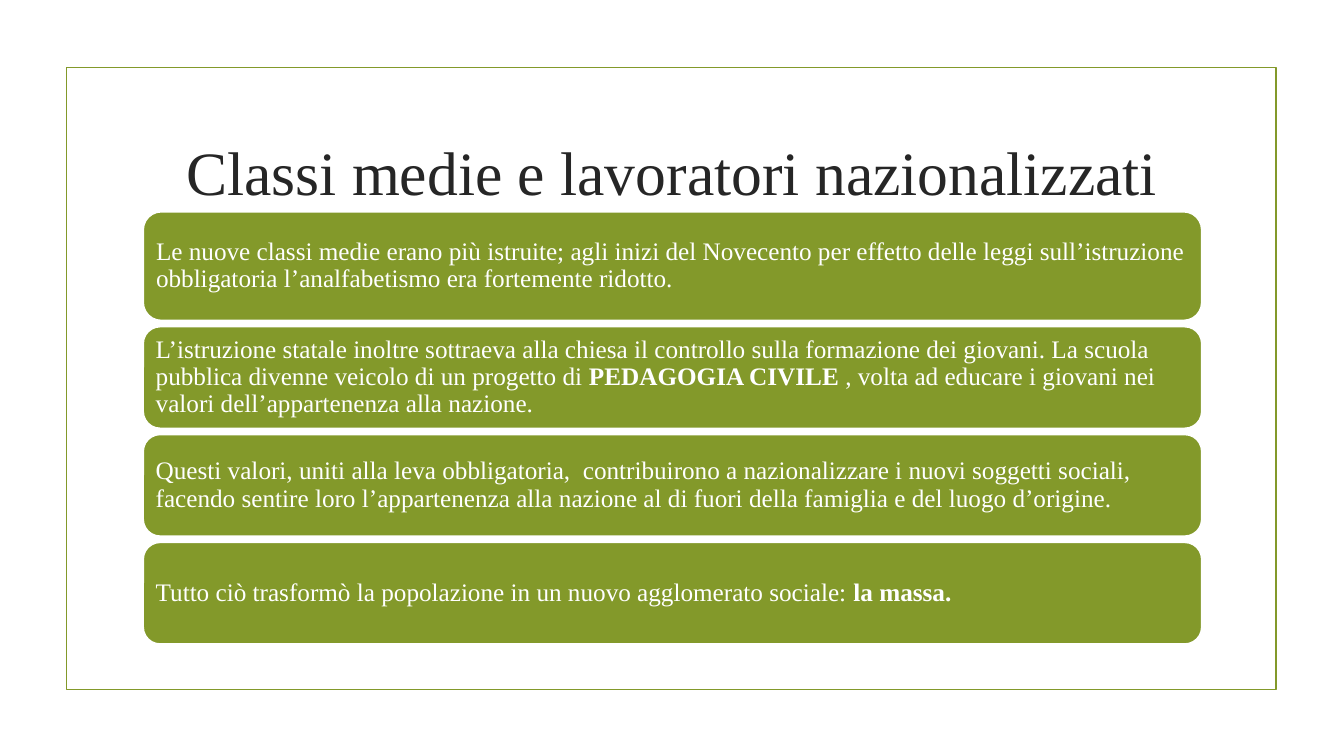
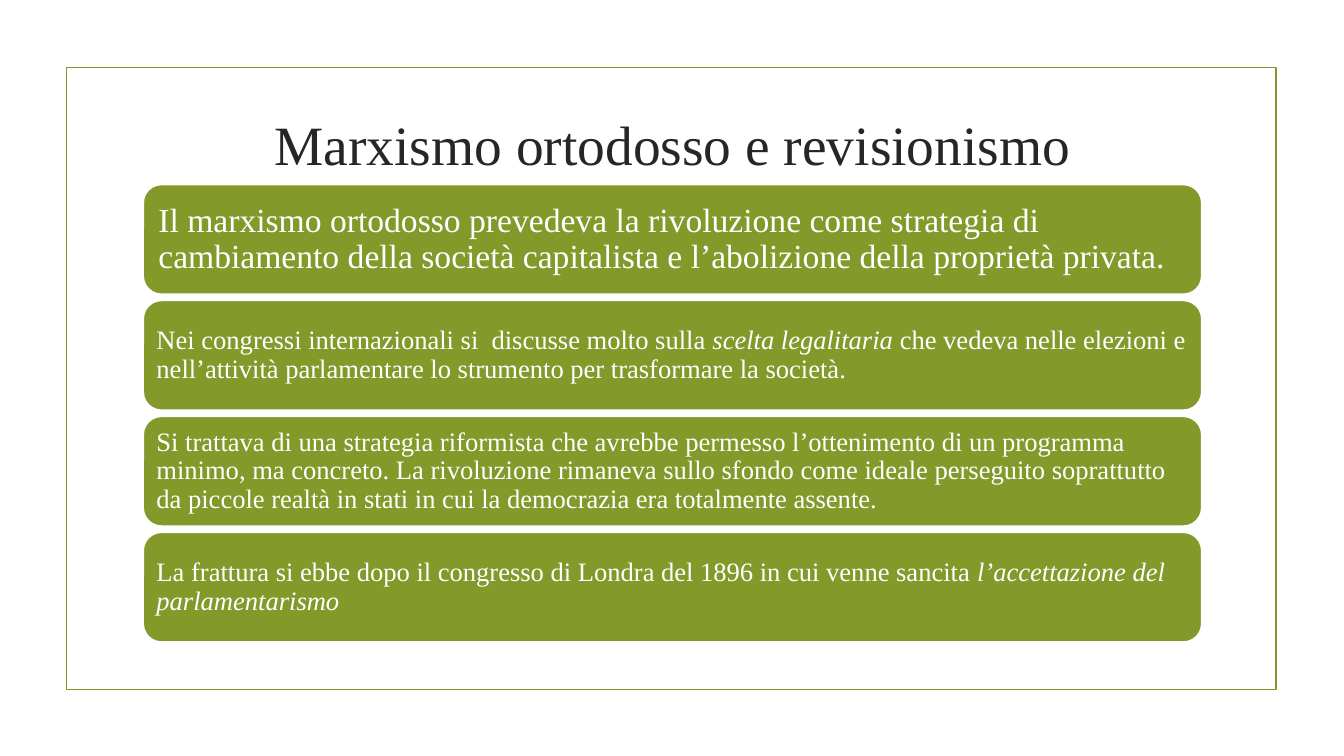
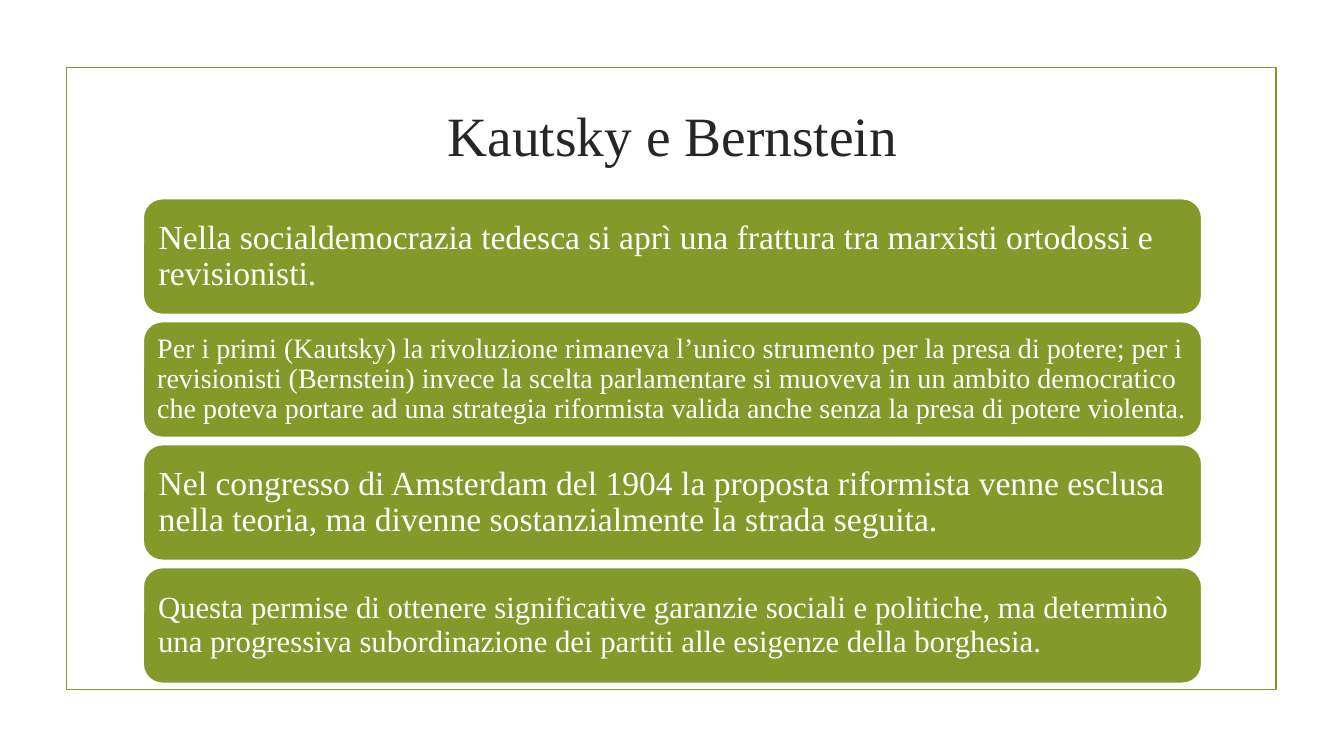
from pptx import Presentation
from pptx.dml.color import RGBColor
from pptx.enum.shapes import MSO_SHAPE
from pptx.enum.text import MSO_ANCHOR, MSO_AUTO_SIZE, PP_ALIGN
from pptx.util import Inches, Pt

OLIVE = RGBColor(0x83, 0x99, 0x2A)
WHITE = RGBColor(0xFF, 0xFF, 0xFF)
CHARCOAL = RGBColor(0x26, 0x26, 0x26)
FONT = "Times New Roman"
LINE_WIDTH = Pt(1.25)
CONTENT_LEFT, CONTENT_WIDTH = 1.42, 10.5
TITLE_TOP = 1.07
TITLE_ONLY = 5
PLAIN, BOLD, ITALIC = "plain", "bold", "italic"


def style_font(font, size, color):
    font.name = FONT
    font.size = Pt(size)
    font.color.rgb = color


def add_frame(prs, layout):
    """Give the layout the olive frame that every slide shows."""
    slide = prs.slides[0]
    frame = slide.shapes.add_shape(
        MSO_SHAPE.RECTANGLE, Inches(0.66), Inches(0.67), Inches(12), Inches(6.17))
    frame.shadow.inherit = False
    frame.fill.background()
    frame.line.color.rgb = OLIVE
    frame.line.width = LINE_WIDTH
    layout.shapes.element.insert(2, frame.element)


def set_title(slide, text, size, height):
    title = slide.shapes.title
    title.left, title.top = Inches(CONTENT_LEFT), Inches(TITLE_TOP)
    title.width, title.height = Inches(CONTENT_WIDTH), Inches(height)
    frame = title.text_frame
    frame.text = text
    frame.word_wrap = True
    frame.auto_size = MSO_AUTO_SIZE.NONE
    frame.vertical_anchor = MSO_ANCHOR.MIDDLE
    heading = frame.paragraphs[0]
    heading.alignment = PP_ALIGN.CENTER
    style_font(heading.runs[0].font, size, CHARCOAL)


def add_statement(slide, top, height, size, parts):
    """Add a rounded box; parts are (text, emphasis) pairs."""
    box = slide.shapes.add_shape(
        MSO_SHAPE.ROUNDED_RECTANGLE, Inches(CONTENT_LEFT), Inches(top),
        Inches(CONTENT_WIDTH), Inches(height))
    box.shadow.inherit = False
    box.fill.solid()
    box.fill.fore_color.rgb = OLIVE
    box.line.color.rgb = WHITE
    box.line.width = LINE_WIDTH
    frame = box.text_frame
    frame.word_wrap = True
    frame.vertical_anchor = MSO_ANCHOR.MIDDLE
    inset = Inches(size / 240)
    frame.margin_left = frame.margin_right = inset
    frame.margin_top = frame.margin_bottom = inset
    paragraph = frame.paragraphs[0]
    paragraph.alignment = PP_ALIGN.LEFT
    paragraph.line_spacing = 0.9
    for text, emphasis in parts:
        run = paragraph.add_run()
        run.text = text
        style_font(run.font, size, WHITE)
        run.font.bold = emphasis == BOLD
        run.font.italic = emphasis == ITALIC


def add_statements(slide, top, gap, statements):
    """Stack the (height, size, parts) boxes downwards from top."""
    for height, size, parts in statements:
        add_statement(slide, top, height, size, parts)
        top += height + gap


SLIDES = [
    {
        "title": ("Classi medie e lavoratori nazionalizzati", 44, 1.25),
        "top": 2.1, "gap": 0.06,
        "statements": [
            (1.08, 18, [
                ("Le nuove classi medie erano più istruite; agli inizi del Novecento "
                 "per effetto delle leggi sull’istruzione obbligatoria "
                 "l’analfabetismo era fortemente ridotto.", PLAIN)]),
            (1.01, 18, [
                ("L’istruzione statale inoltre sottraeva alla chiesa il controllo "
                 "sulla formazione dei giovani. La scuola pubblica divenne veicolo "
                 "di un progetto di ", PLAIN),
                ("PEDAGOGIA CIVILE ", BOLD),
                (", volta ad educare i giovani nei valori dell’appartenenza "
                 "alla nazione.", PLAIN)]),
            (1.01, 18, [
                ("Questi valori, uniti alla leva obbligatoria,  contribuirono a "
                 "nazionalizzare i nuovi soggetti sociali, facendo sentire loro "
                 "l’appartenenza alla nazione al di fuori della famiglia e del "
                 "luogo d’origine.", PLAIN)]),
            (1.01, 18, [
                ("Tutto ciò trasformò la popolazione in un nuovo agglomerato "
                 "sociale: ", PLAIN),
                ("la massa.", BOLD)]),
        ],
    },
    {
        "title": ("Marxismo ortodosso e revisionismo", 39.6, 0.71),
        "top": 1.83, "gap": 0.06,
        "statements": [
            (1.09, 24, [
                ("Il marxismo ortodosso prevedeva la rivoluzione come strategia di "
                 "cambiamento della società capitalista e l’abolizione della "
                 "proprietà privata.", PLAIN)]),
            (1.09, 19, [
                ("Nei congressi internazionali si  discusse molto sulla ", PLAIN),
                ("scelta legalitaria ", ITALIC),
                ("che vedeva nelle elezioni e nell’attività parlamentare lo "
                 "strumento per trasformare la società.", PLAIN)]),
            (1.09, 19, [
                ("Si trattava di una strategia riformista che avrebbe permesso "
                 "l’ottenimento di un programma minimo, ma concreto. La rivoluzione "
                 "rimaneva sullo sfondo come ideale perseguito soprattutto da "
                 "piccole realtà in stati in cui la democrazia era totalmente "
                 "assente.", PLAIN)]),
            (1.09, 19, [
                ("La frattura si ebbe dopo il congresso di Londra del 1896 in cui "
                 "venne sancita ", PLAIN),
                ("l’accettazione del parlamentarismo", ITALIC)]),
        ],
    },
    {
        "title": ("Kautsky e Bernstein", 39.6, 0.53),
        "top": 1.97, "gap": 0.07,
        "statements": [
            (1.15, 24, [
                ("Nella socialdemocrazia tedesca si aprì una frattura tra marxisti "
                 "ortodossi e revisionisti.", PLAIN)]),
            (1.15, 20, [
                ("Per i primi (Kautsky) la rivoluzione rimaneva l’unico strumento "
                 "per la presa di potere; per i revisionisti (Bernstein) invece la "
                 "scelta parlamentare si muoveva in un ambito democratico che "
                 "poteva portare ad una strategia riformista valida anche senza la "
                 "presa di potere violenta.", PLAIN)]),
            (1.15, 24, [
                ("Nel congresso di Amsterdam del 1904 la proposta riformista venne "
                 "esclusa nella teoria, ma divenne sostanzialmente la strada "
                 "seguita.", PLAIN)]),
            (1.15, 22, [
                ("Questa permise di ottenere significative garanzie sociali e "
                 "politiche, ma determinò una progressiva subordinazione dei "
                 "partiti alle esigenze della borghesia.", PLAIN)]),
        ],
    },
]


def main():
    prs = Presentation()
    prs.slide_width, prs.slide_height = Inches(13.33), Inches(7.5)
    layout = prs.slide_layouts[TITLE_ONLY]
    for content in SLIDES:
        slide = prs.slides.add_slide(layout)
        set_title(slide, *content["title"])
        add_statements(slide, content["top"], content["gap"], content["statements"])
    add_frame(prs, layout)
    prs.save("out.pptx")


if __name__ == "__main__":
    main()
